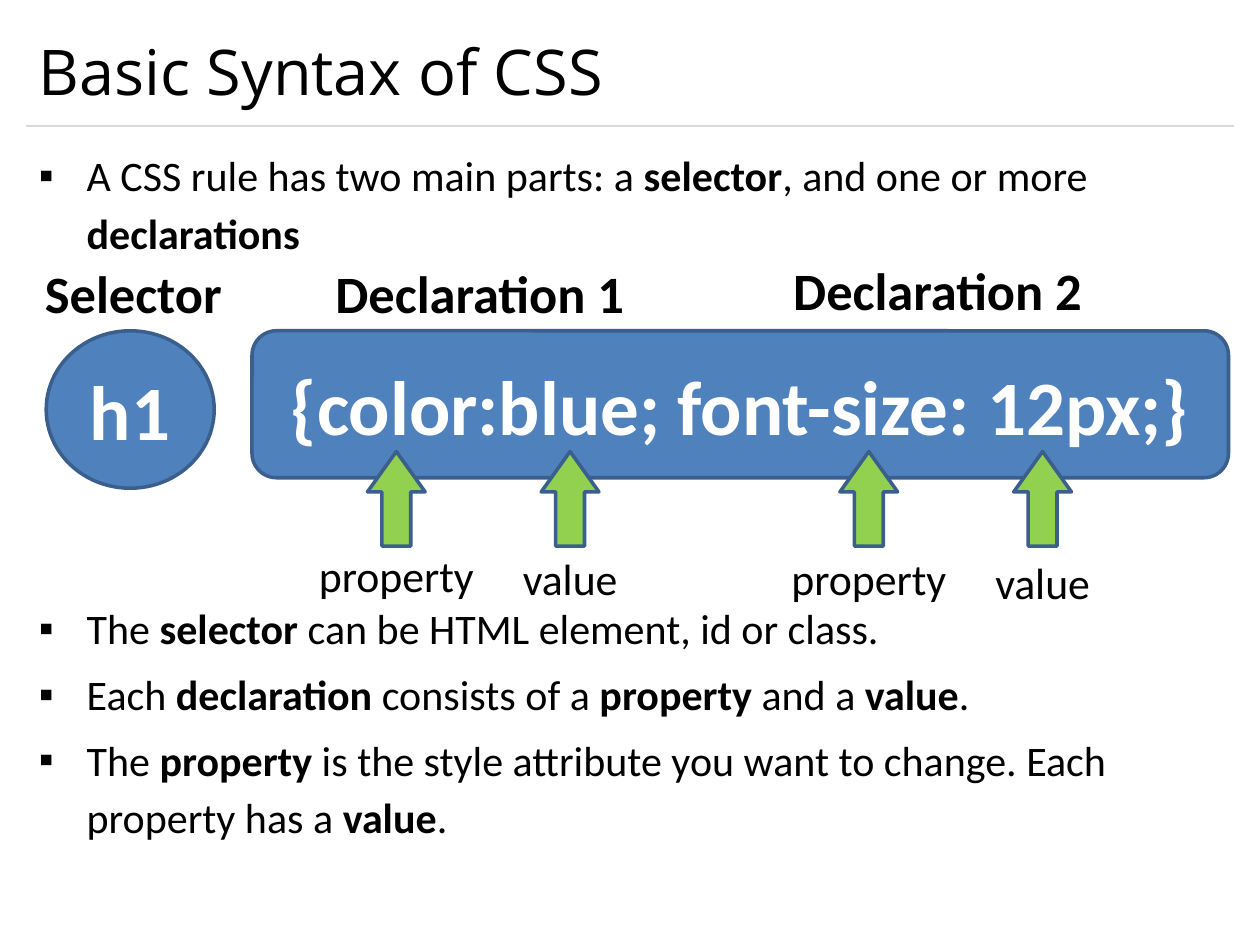
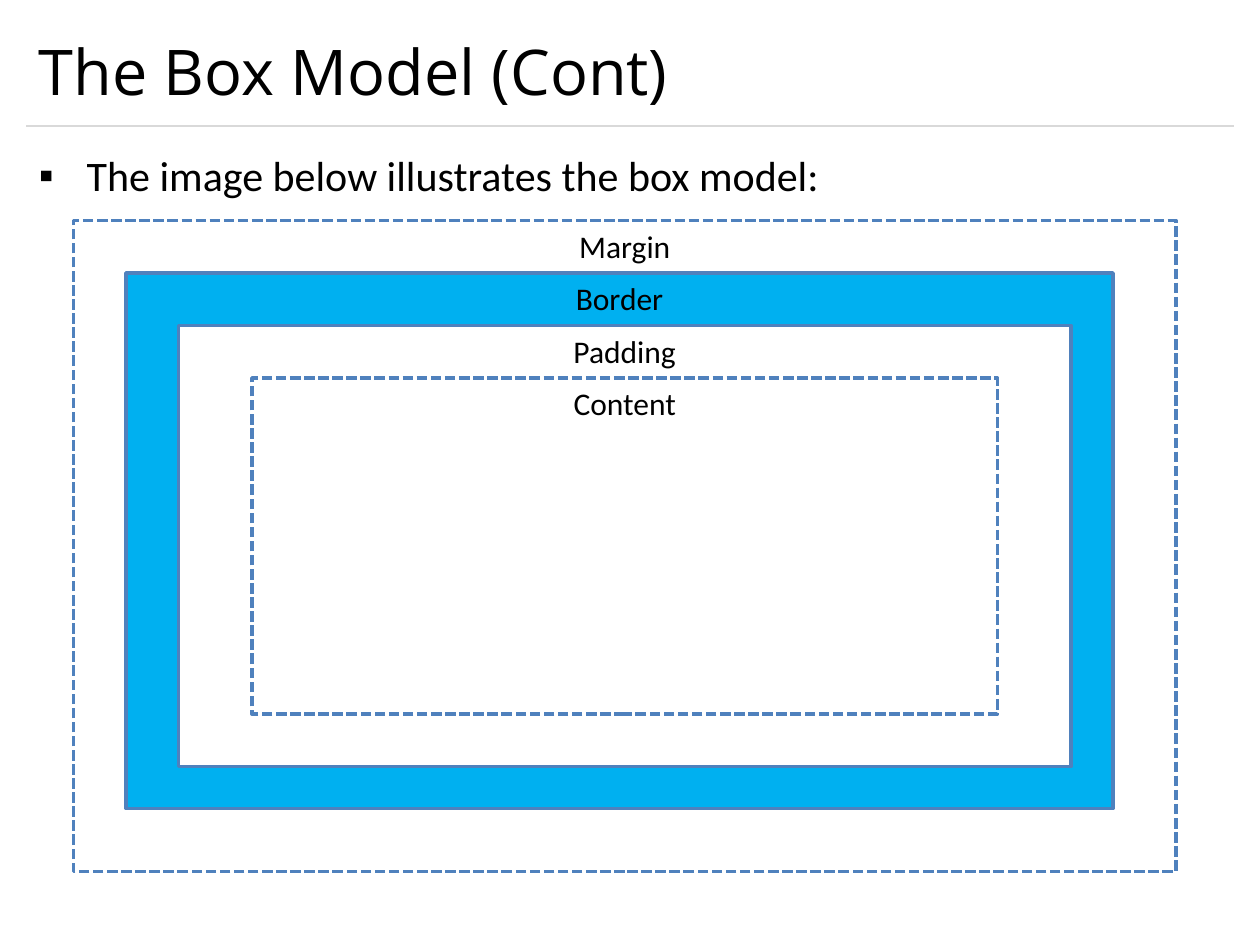
from lxml.etree import SubElement
from pptx import Presentation
from pptx.dml.color import RGBColor
from pptx.enum.dml import MSO_LINE_DASH_STYLE as Dash
from pptx.enum.shapes import MSO_CONNECTOR as Connector, MSO_SHAPE as Shape
from pptx.enum.text import MSO_ANCHOR as Anchor, MSO_AUTO_SIZE as AutoSize, PP_ALIGN as Align
from pptx.oxml.ns import qn
from pptx.util import Inches, Pt

SLIDE_WIDTH, SLIDE_HEIGHT = Inches(10), Inches(7.5)
UNIT = SLIDE_WIDTH / 24

BLACK = RGBColor(0x00, 0x00, 0x00)
WHITE = RGBColor(0xFF, 0xFF, 0xFF)
RULE_GREY = RGBColor(0xD9, 0xD9, 0xD9)
BLUE = RGBColor(0x4F, 0x81, 0xBD)
DARK_BLUE = RGBColor(0x3A, 0x5F, 0x8C)
SKY = RGBColor(0x00, 0xB0, 0xF0)
GREEN = RGBColor(0x92, 0xD0, 0x50)

TITLE_FONT = {"name": "Open Sans", "size": Pt(36)}
BODY_FONT = {"name": "Calibri", "size": Pt(24)}
CODE_FONT = {"name": "Calibri", "size": Pt(44), "bold": True}
HEADING_FONT = {"name": "Calibri", "size": Pt(30), "bold": True}
LABEL_FONT = {"name": "Calibri", "size": Pt(25)}
LAYER_FONT = {"name": "Calibri", "size": Pt(18)}

BULLET_GAP = Pt(4.8)
DIAGRAM_GAP = Pt(193)


def grid(*lengths):
    return [round(length * UNIT) for length in lengths]


def place(shape, *area):
    for name, value in zip(("left", "top", "width", "height"), grid(*area)):
        setattr(shape, name, value)


def add_span(para, text, style, color=BLACK, **extra):
    span = para.add_run()
    span.text = text
    for name, value in {**style, **extra}.items():
        setattr(span.font, name, value)
    span.font.color.rgb = color


def write_centred(shape, text, style, color=BLACK, anchor=Anchor.TOP, wrap=True):
    frame = shape.text_frame
    frame.word_wrap = wrap
    frame.vertical_anchor = anchor
    para = frame.paragraphs[0]
    para.alignment = Align.CENTER
    add_span(para, text, style, color)


def add_block(page, kind, area, fill, line, dash=None):
    shape = page.shapes.add_shape(kind, *grid(*area))
    shape.shadow.inherit = False
    if fill is None:
        shape.fill.background()
    else:
        shape.fill.solid()
        shape.fill.fore_color.rgb = fill
    shape.line.color.rgb = line
    shape.line.width = Pt(2)
    if dash:
        shape.line.dash_style = dash
    return shape


def add_label(page, text, center, top, width, height, style):
    box = page.shapes.add_textbox(*grid(center - width / 2, top, width, height))
    write_centred(box, text, style, wrap=False)


def add_bullet(para, text, gap):
    properties = para._p.get_or_add_pPr()
    properties.set("marL", str(Inches(0.38)))
    properties.set("indent", str(-Inches(0.38)))
    SubElement(properties, qn("a:buFont")).set("typeface", "Arial")
    SubElement(properties, qn("a:buChar")).set("char", "▪")
    para.line_spacing = 1.14
    para.space_before = gap
    for index, part in enumerate(text.split("**")):
        if part:
            add_span(para, part, BODY_FONT, bold=index % 2 == 1)


def add_title_rule(page):
    left, top, right = grid(0.5, 2.4, 23.5)
    rule = page.shapes.add_connector(Connector.STRAIGHT, left, top, right, top)
    rule.line.color.rgb = RULE_GREY
    rule.line.width = Pt(0.75)
    SubElement(rule._element.spPr, qn("a:effectLst"))


def prepare_layout(deck):
    layout = deck.slide_layouts[1]
    title, body = list(layout.placeholders)[:2]
    place(title, 0.5, 0.28, 23, 2.12)
    place(body, 0.5, 2.6, 23, 14.4)
    return layout


def add_page(deck, layout, title, bullets):
    page = deck.slides.add_slide(layout)
    add_title_rule(page)
    frame = page.shapes.title.text_frame
    frame.vertical_anchor = Anchor.MIDDLE
    frame.auto_size = AutoSize.NONE
    frame.paragraphs[0].alignment = Align.LEFT
    add_span(frame.paragraphs[0], title, TITLE_FONT)
    body = page.placeholders[1].text_frame
    body.auto_size = AutoSize.NONE
    for index, (text, gap) in enumerate(bullets):
        para = body.add_paragraph() if index else body.paragraphs[0]
        add_bullet(para, text, gap)
    return page


def add_syntax_diagram(page):
    code_blocks = [
        (Shape.OVAL, (0.88, 6.3, 3.2, 3), "h1"),
        (Shape.ROUNDED_RECTANGLE, (4.8, 6.3, 18.6, 2.8), "{color:blue; font-size: 12px;}"),
    ]
    for kind, area, code in code_blocks:
        block = add_block(page, kind, area, BLUE, DARK_BLUE)
        write_centred(block, code, CODE_FONT, WHITE, Anchor.MIDDLE)

    headings = [
        ("Selector", 2.54, 4.85, 4),
        ("Declaration 1", 9.14, 4.85, 6.2),
        ("Declaration 2", 17.86, 4.8, 6.2),
    ]
    for text, center, top, width in headings:
        add_label(page, text, center, top, width, 1.46, HEADING_FONT)

    for declaration, first_center in enumerate((7.55, 16.55)):
        for part, (text, width) in enumerate((("property", 3.7), ("value", 2.5))):
            center = first_center + part * 3.31
            arrow = add_block(page, Shape.UP_ARROW, (center - 0.55, 8.6, 1.1, 1.8), GREEN, DARK_BLUE)
            arrow.adjustments[1] = 0.7
            top = 10.34 + 0.06 * (declaration + part)
            add_label(page, text, center, top, width, 1.25, LABEL_FONT)


def add_box_model(page):
    layers = [
        ("Margin", 1.4, 21, 12.4, None, Dash.SQUARE_DOT),
        ("Border", 2.4, 18.8, 10.2, SKY, None),
        ("Padding", 3.4, 17, 8.4, WHITE, None),
        ("Content", 4.8, 14.2, 6.4, None, Dash.SQUARE_DOT),
    ]
    for depth, (name, left, width, height, fill, dash) in enumerate(layers):
        area = (left, 4.2 + depth, width, height)
        layer = add_block(page, Shape.RECTANGLE, area, fill, BLUE, dash)
        write_centred(layer, name, LAYER_FONT)


def main():
    deck = Presentation()
    deck.slide_width, deck.slide_height = SLIDE_WIDTH, SLIDE_HEIGHT
    layout = prepare_layout(deck)

    syntax_bullets = [
        ("A CSS rule has two main parts: a **selector**, and one or more **declarations**", 0),
        ("The **selector **can be HTML element, id or class.", DIAGRAM_GAP),
        ("Each **declaration** consists of a **property** and a **value**.", BULLET_GAP),
        ("The **property** is the style attribute you want to change. "
         "Each property has a **value**.", BULLET_GAP),
    ]
    add_syntax_diagram(add_page(deck, layout, "Basic Syntax of CSS", syntax_bullets))

    model_bullets = [("The image below illustrates the box model:", 0)]
    add_box_model(add_page(deck, layout, "The Box Model (Cont)", model_bullets))

    deck.save("out.pptx")


if __name__ == "__main__":
    main()
